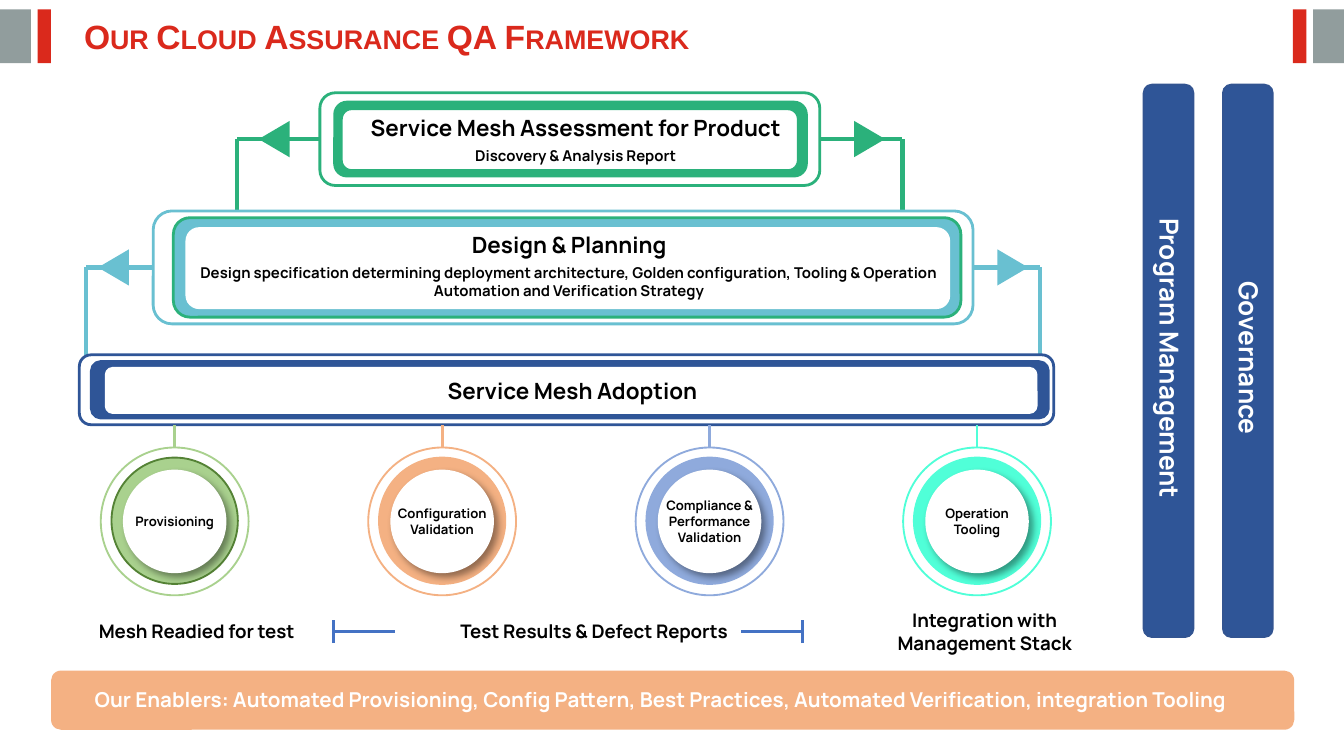
from lxml.etree import SubElement
from pptx import Presentation
from pptx.dml.color import RGBColor
from pptx.enum.shapes import MSO_CONNECTOR, MSO_SHAPE
from pptx.enum.text import MSO_ANCHOR, PP_ALIGN
from pptx.oxml.ns import qn
from pptx.util import Inches, Pt

COLUMNS, ROWS = 100, 56.25
SLIDE_WIDTH, SLIDE_HEIGHT = Inches(10), Inches(5.625)
RED, GREY, WHITE, BLACK = "DA291C", "919D9D", "FFFFFF", "000000"
GREEN, TEAL, NAVY, PEACH, BLUE = "2BB17B", "69C0D1", "2F5597", "F4B183", "4472C4"


def color(value):
    """Turn a hex string into a colour."""
    return RGBColor.from_string(value)


def across(columns):
    """Turn grid columns into a slide length."""
    return round(SLIDE_WIDTH * columns / COLUMNS)


def down(rows):
    """Turn grid rows into a slide length."""
    return round(SLIDE_HEIGHT * rows / ROWS)


def place(box):
    """Turn a grid box into left, top, width and height."""
    left, top, width, height = box
    return across(left), down(top), across(width), down(height)


def inset(box, left, top, right, bottom):
    """Shrink a grid box by a margin on each side."""
    x, y, width, height = box
    return x + left, y + top, width - left - right, height - top - bottom


def add_form(page, kind, box, fill=None, line=None, weight=1.5):
    """Add a preset shape without a shadow."""
    form = page.shapes.add_shape(kind, *place(box))
    form.shadow.inherit = False
    if fill:
        form.fill.solid()
        form.fill.fore_color.rgb = color(fill)
    else:
        form.fill.background()
    if line:
        form.line.color.rgb = color(line)
        form.line.width = Pt(weight)
    else:
        form.line.fill.background()
    return form


def add_line(page, start, end, line, weight):
    """Add a straight connector between two grid points."""
    connector = page.shapes.add_connector(
        MSO_CONNECTOR.STRAIGHT, across(start[0]), down(start[1]), across(end[0]), down(end[1]))
    connector.line.color.rgb = color(line)
    connector.line.width = Pt(weight)
    SubElement(connector._element.spPr, qn("a:effectLst"))
    return connector


def add_text(page, box, lines, size, ink=BLACK, align=PP_ALIGN.CENTER, face="Manrope"):
    """Add a text box with one bold paragraph for each line."""
    label = page.shapes.add_textbox(*place(box))
    frame = label.text_frame
    frame.word_wrap = True
    frame.vertical_anchor = MSO_ANCHOR.MIDDLE
    frame.margin_left = frame.margin_right = across(0.75)
    frame.margin_top = frame.margin_bottom = down(0.37)
    frame.text = "\n".join(lines)
    for para in frame.paragraphs:
        para.alignment = align
        para.font.name = face
        para.font.size = Pt(size)
        para.font.bold = True
        para.font.color.rgb = color(ink)
    return label


def add_header(page, box):
    """Add the small-caps title between two pairs of edge bars."""
    left, top, width, height = box
    for offset, bar, fill in ((0, 2.3, GREY), (2.8, 1, RED)):
        for x in (left + offset, left + width - offset - bar):
            add_form(page, MSO_SHAPE.RECTANGLE, (x, top, bar, height), fill)
    title = add_text(page, (left + 5.5, top, 75.5, height), ["Our Cloud Assurance QA Framework"],
                     18, RED, PP_ALIGN.LEFT, "Arial")
    title._element.find(".//" + qn("a:defRPr")).set("cap", "small")


def add_tier(page, box, fill, rim, core_line, margins, texts):
    """Add three nested rounded panels and their texts, and return the outer one."""
    outer = add_form(page, MSO_SHAPE.ROUNDED_RECTANGLE, box, line=fill)
    band = inset(box, *margins[0])
    add_form(page, MSO_SHAPE.ROUNDED_RECTANGLE, band, fill, rim)
    add_form(page, MSO_SHAPE.ROUNDED_RECTANGLE, inset(band, *margins[1]), WHITE, core_line)
    for offset, height, size, words in texts:
        add_text(page, (box[0], box[1] + offset, box[2] + 0.9, height), [words], size)
    return outer


def add_arms(page, box, tier, line, reach, floor, heads):
    """Add an arm on each side of a tier that drops to the next one."""
    left, top, width, height = box
    middle = top + height / 2
    for site, edge, way, turn, head in ((1, left, -1, 270, heads[0]), (3, left + width, 1, 90, heads[1])):
        corner = edge + way * reach
        arm = add_line(page, (edge, middle), (corner, middle), line, 2.25)
        arm.begin_connect(tier, site)
        add_line(page, (corner, floor), (corner, middle), line, 2.25)
        arrow = add_form(page, MSO_SHAPE.ISOSCELES_TRIANGLE,
                         (corner - way * head - 1.35, middle - 1.15, 2.7, 2.3), line)
        arrow.rotation = turn


def add_ring(page, box, fill, rim, words):
    """Add a stem, two rings and a shadowed disc with a label."""
    left, top, width, height = box
    outer = add_form(page, MSO_SHAPE.OVAL, box, line=fill, weight=1)
    add_form(page, MSO_SHAPE.OVAL, inset(box, 0.8, 0.75, 0.8, 0.85), fill, rim, 1)
    disc = add_form(page, MSO_SHAPE.OVAL, inset(box, *[1.65] * 4), WHITE)
    effects = disc._element.spPr.find(qn("a:effectLst"))
    shadow = SubElement(effects, qn("a:outerShdw"), blurRad=str(Pt(4)), dist=str(Pt(3)),
                        dir="2700000", algn="tl", rotWithShape="0")
    shade = SubElement(shadow, qn("a:srgbClr"), val=BLACK)
    SubElement(shade, qn("a:alpha"), val="40000")
    add_text(page, inset(box, 0.8, 3, 0.8, 3), [words], 7)
    center = left + width / 2
    stem = add_line(page, (center, top - 1.65), (center, top), fill, 1.5)
    stem.end_connect(outer, 0)


def add_pillar(page, box, words, length):
    """Add a tall bar with its label turned to read downwards."""
    left, top, width, height = box
    add_form(page, MSO_SHAPE.ROUNDED_RECTANGLE, box, NAVY, "325491", 1)
    center, middle = left + width / 2 + 0.1, top + height / 2 - 0.2
    label = add_text(page, (center - length / 2, middle - 1.7, length, 3.4), [words], 14, WHITE)
    label.rotation = 90


def add_outcomes(page, box):
    """Add the row of outcomes and the two brackets around the middle one."""
    left, top, width, height = box
    add_text(page, (left, top + 0.8, 17.1, 2.7), ["Mesh Readied for test"], 10, align=PP_ALIGN.LEFT)
    add_text(page, (left + 26.9, top + 0.8, 22.7, 2.7), ["Test Results & Defect Reports"], 10,
             align=PP_ALIGN.LEFT)
    add_text(page, (left + width - 15.5, top, 15.5, height), ["Integration with", "Management Stack"], 10)
    middle = top + height / 2
    for stop, way in ((left + 18.2, 1), (left + 53.1, -1)):
        add_line(page, (stop, middle), (stop + way * 4.6, middle), BLUE, 1.5)
        add_line(page, (stop, middle + 0.85), (stop, middle - 0.85), BLUE, 1.5)


def add_enablers(page, box):
    """Add the bottom banner of enablers."""
    add_form(page, MSO_SHAPE.ROUNDED_RECTANGLE, box, PEACH)
    add_text(page, inset(box, 2.5, 0.7, 0, 0.8), [
        "Our Enablers: Automated Provisioning, Config Pattern, Best Practices, "
        "Automated Verification, integration Tooling"], 11, WHITE, PP_ALIGN.LEFT)


def add_framework(page):
    """Add every region of the framework slide."""
    add_header(page, (0, 0.7, 100, 4))
    assessment, planning, adoption = (23.8, 6.9, 37.2, 6.9), (11.4, 15.7, 61, 8.4), (5.9, 26.4, 72.5, 5.2)
    tier = add_tier(page, assessment, GREEN, GREEN, GREEN, ((1.1, 0.7, 1, 0.7), (0.5, 0.5, 0.6, 0.4)),
                    ((1.1, 3, 12, "Service Mesh Assessment for Product"),
                     (3.5, 2.4, 8, "Discovery & Analysis Report")))
    add_arms(page, assessment, tier, GREEN, 6.15, planning[1], (2.75, 2.45))
    tier = add_tier(page, planning, TEAL, GREEN, None, ((1.5, 0.5, 0.9, 0.5), (0.9, 0.7, 0.8, 0.6)),
                    ((1, 3, 12, "Design & Planning"),
                     (3.4, 3.7, 8, "Design specification determining deployment architecture, Golden "
                      "configuration, Tooling & Operation Automation and Verification Strategy")))
    add_arms(page, planning, tier, TEAL, 5, adoption[1], (2.05, 2.05))
    add_tier(page, adoption, NAVY, NAVY, None, ((0.9, 0.5, 0.4, 0.5), (1, 0.4, 0.8, 0.3)),
             ((1.2, 3, 12, "Service Mesh Adoption"),))
    rings = (("A9D18E", "548235", "Provisioning"), (PEACH, PEACH, "Configuration Validation"),
             ("8FAADC", "8FAADC", "Compliance & Performance Validation"),
             ("50FFD8", "50FFD8", "Operation Tooling"))
    for index, (fill, rim, words) in enumerate(rings):
        add_ring(page, (7.5 + 19.9 * index, 33.3, 11, 11), fill, rim, words)
    add_outcomes(page, (6.6, 44.8, 74.4, 4.4))
    add_enablers(page, (3.8, 49.9, 92.5, 4.4))
    add_pillar(page, (85.1, 6.3, 3.7, 41.1), "Program Management", 25.8)
    add_pillar(page, (91, 6.3, 3.7, 41.1), "Governance", 14.6)


def main():
    """Build the deck and save it."""
    deck = Presentation()
    deck.slide_width, deck.slide_height = SLIDE_WIDTH, SLIDE_HEIGHT
    add_framework(deck.slides.add_slide(deck.slide_layouts[6]))
    deck.save("out.pptx")


if __name__ == "__main__":
    main()
